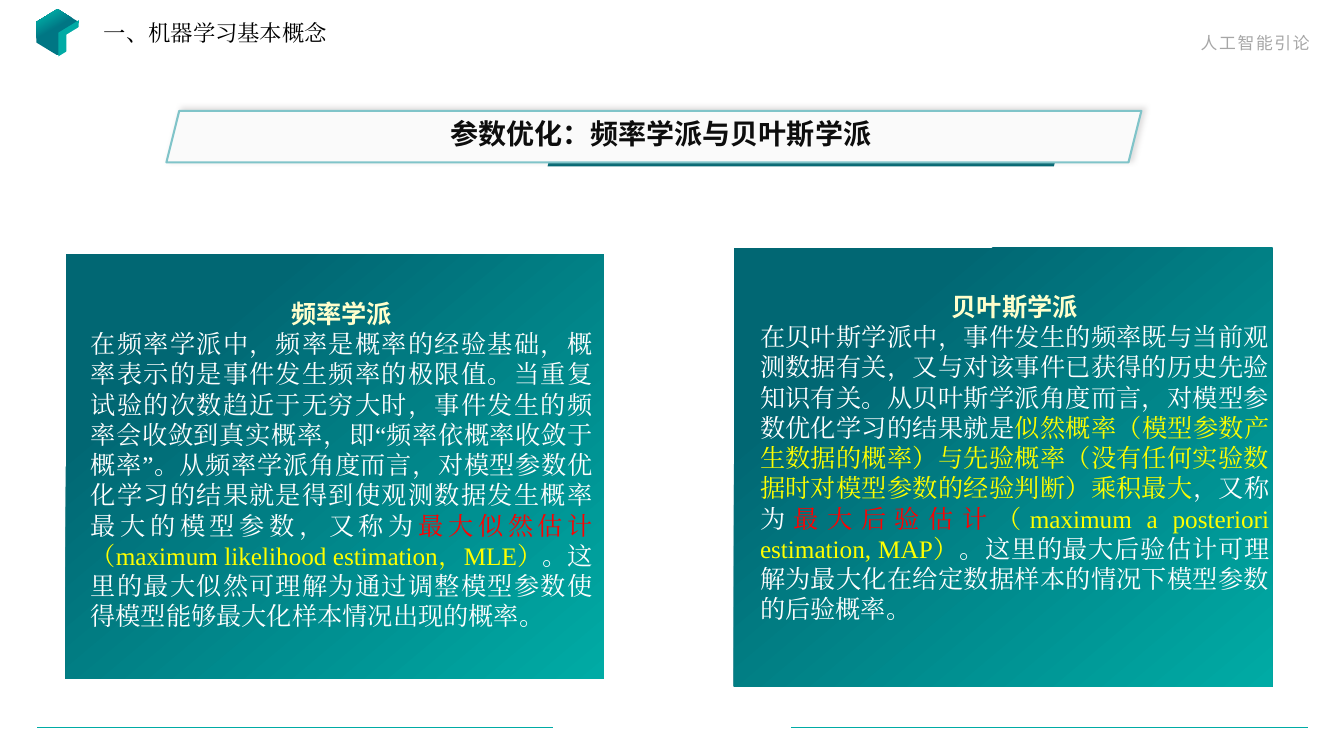
from dataclasses import dataclass
from typing import NamedTuple

from lxml.etree import SubElement
from pptx import Presentation
from pptx.dml.color import RGBColor
from pptx.enum.shapes import MSO_CONNECTOR, MSO_SHAPE
from pptx.enum.text import PP_ALIGN
from pptx.oxml.ns import qn
from pptx.util import Inches, Pt

COLORS = {
    "teal": "00ABA5", "sea": "007684", "deep": "016773", "edge": "80C4C9",
    "paper": "FAFAFA", "white": "FFFFFF", "black": "000000", "ink": "0D0D0D",
    "grey": "A6A6A6", "shadow": "AFABAB", "cream": "FFFFCC",
    "yellow": "FFFF00", "red": "FF0000",
}
SANS, SERIF = "Noto Sans CJK SC", "Times New Roman"

deck = Presentation()
deck.slide_width, deck.slide_height = Inches(13.33), Inches(7.5)
slide = deck.slides.add_slide(deck.slide_layouts[6])


class Area(NamedTuple):
    """Left, top, width and height in percent of the slide."""
    left: float
    top: float
    width: float
    height: float


class Phrase(NamedTuple):
    text: str
    color: str
    font: str = SERIF
    size: int = 18
    bold: bool = False


class Gradient(NamedTuple):
    start: tuple[str, float]
    end: tuple[str, float]
    clockwise: float


@dataclass
class School:
    panel: Area
    words: Area
    title: str
    phrases: list[Phrase]


def across(percent: float) -> int:
    return round(deck.slide_width * percent / 100)


def down(percent: float) -> int:
    return round(deck.slide_height * percent / 100)


def place(area: Area) -> tuple[int, int, int, int]:
    return across(area.left), down(area.top), across(area.width), down(area.height)


def rgb(color: str) -> RGBColor:
    return RGBColor.from_string(COLORS[color])


def draw_shape(kind: MSO_SHAPE, area: Area, fill: str | Gradient,
               rotation: float = 0, adjust: tuple[float, ...] = ()):
    shape = slide.shapes.add_shape(kind, *place(area))
    shape.shadow.inherit = False
    shape.line.fill.background()
    shape.rotation = rotation
    for index, value in enumerate(adjust):
        shape.adjustments[index] = value
    if isinstance(fill, Gradient):
        shape.fill.gradient()
        shape.fill.gradient_angle = 360 - fill.clockwise
        for stop, (color, position) in zip(shape.fill.gradient_stops, fill[:2]):
            stop.color.rgb = rgb(color)
            stop.position = position
    else:
        shape.fill.solid()
        shape.fill.fore_color.rgb = rgb(fill)
    return shape


def cast_shadow(shape) -> None:
    effects = shape._element.spPr.find(qn("a:effectLst"))
    shadow = SubElement(effects, qn("a:outerShdw"), blurRad=str(Pt(4)),
                        dist=str(Pt(3)), dir=str(315 * 60000), rotWithShape="0")
    tint = SubElement(shadow, qn("a:srgbClr"), val=COLORS["shadow"])
    SubElement(tint, qn("a:alpha"), val="40000")


def draw_rule(start: float, end: float, height: float) -> None:
    rule = slide.shapes.add_connector(MSO_CONNECTOR.STRAIGHT, across(start),
                                      down(height), across(end), down(height))
    rule.line.color.rgb = rgb("teal")
    rule.line.width = Pt(0.5)
    SubElement(rule._element.spPr, qn("a:effectLst"))


def write(paragraph, phrases: list[Phrase], align: PP_ALIGN, tracking: float = 0) -> None:
    paragraph.alignment = align
    for phrase in phrases:
        run = paragraph.add_run()
        run.text = phrase.text
        run.font.size, run.font.bold = Pt(phrase.size), phrase.bold
        run.font.name = phrase.font
        run.font.color.rgb = rgb(phrase.color)
        properties = run.font._element
        SubElement(properties, qn("a:ea"), typeface=phrase.font)
        if tracking:
            properties.set("spc", str(round(tracking * 100)))


def add_words(area: Area):
    frame = slide.shapes.add_textbox(*place(area)).text_frame
    frame.word_wrap = True
    return frame


def draw_school(school: School) -> None:
    draw_shape(MSO_SHAPE.RECTANGLE, school.panel,
               Gradient(("deep", 0.22), ("teal", 1), 50))
    frame = add_words(school.words)
    heading = frame.paragraphs[0]
    heading.line_spacing = 2.5
    write(heading, [Phrase(school.title, "cream", SANS, bold=True)], PP_ALIGN.CENTER)
    write(frame.add_paragraph(), school.phrases, PP_ALIGN.JUSTIFY)


SCHOOLS = [
    School(
        Area(4.88, 33.6, 40.06, 56.13), Area(6, 32.8, 38.86, 60.27), "频率学派",
        [
            Phrase("在频率学派中，频率是概率的经验基础，概率表示的是事件发生频率的极限值。"
                   "当重复试验的次数趋近于无穷大时，事件发生的频率会收敛到真实概率，"
                   "即“频率依概率收敛于概率”。从频率学派角度而言，对模型参数优化学习的"
                   "结果就是得到使观测数据发生概率最大的模型参数，又称为", "white"),
            Phrase("最大似然估计", "red"),
            Phrase("（maximum likelihood estimation，MLE）", "yellow"),
            Phrase("。这里的最大似然可理解为通过调整模型参数使得模型能够最大化"
                   "样本情况出现的概率。", "white"),
        ]),
    School(
        Area(54.61, 32.8, 40.06, 58), Area(55.81, 31.87, 39.38, 64.27), "贝叶斯学派",
        [
            Phrase("在贝叶斯学派中，事件发生的频率既与当前观测数据有关，又与对该事件已获得的"
                   "历史先验知识有关。从贝叶斯学派角度而言，对模型参数优化学习的结果就是", "white"),
            Phrase("似然概率（模型参数产生数据的概率）与先验概率"
                   "（没有任何实验数据时对模型参数的经验判断）乘积最大", "yellow"),
            Phrase("，又称为", "white"),
            Phrase("最大后验估计", "red"),
            Phrase("（maximum a posteriori estimation, MAP）", "yellow"),
            Phrase("。这里的最大后验估计可理解为最大化在给定数据样本的情况下"
                   "模型参数的后验概率。", "white"),
        ]),
]


def main() -> None:
    write(add_words(Area(71.79, 3.73, 26.41, 4)).paragraphs[0],
          [Phrase("人工智能引论", "grey", SANS, 12)], PP_ALIGN.RIGHT, tracking=1.2)

    draw_shape(MSO_SHAPE.HEXAGON, Area(2.55, 1.47, 3.45, 5.6),
               Gradient(("sea", 0.57), ("teal", 0.87), 150), 90, (0.305, 1.155))
    for left, top, color in ((3.75, 3.73, "teal"), (4.35, 4, "white")):
        draw_shape(MSO_SHAPE.PARALLELOGRAM, Area(left, top, 2.7, 2.67),
                   color, 328.6, (0.61,))
    for start, end in ((41.11, 2.78), (97.3, 58.89)):
        draw_rule(start, end, 96.27)

    draw_shape(MSO_SHAPE.PARALLELOGRAM, Area(40.74, 15.2, 38.63, 6.8), "deep")
    banner = draw_shape(MSO_SHAPE.PARALLELOGRAM, Area(12.38, 14.67, 72.54, 6.8), "paper")
    banner.line.color.rgb = rgb("edge")
    banner.line.width = Pt(1.5)
    cast_shadow(banner)
    write(add_words(Area(17.85, 14.8, 62.64, 5.87)).paragraphs[0],
          [Phrase("参数优化：频率学派与贝叶斯学派", "ink", SANS, 20, True)], PP_ALIGN.CENTER)

    write(add_words(Area(6.98, 1.87, 18.38, 4.93)).paragraphs[0],
          [Phrase("一、机器学习基本概念", "black", size=16)], PP_ALIGN.LEFT)
    for school in SCHOOLS:
        draw_school(school)
    deck.save("out.pptx")


if __name__ == "__main__":
    main()
